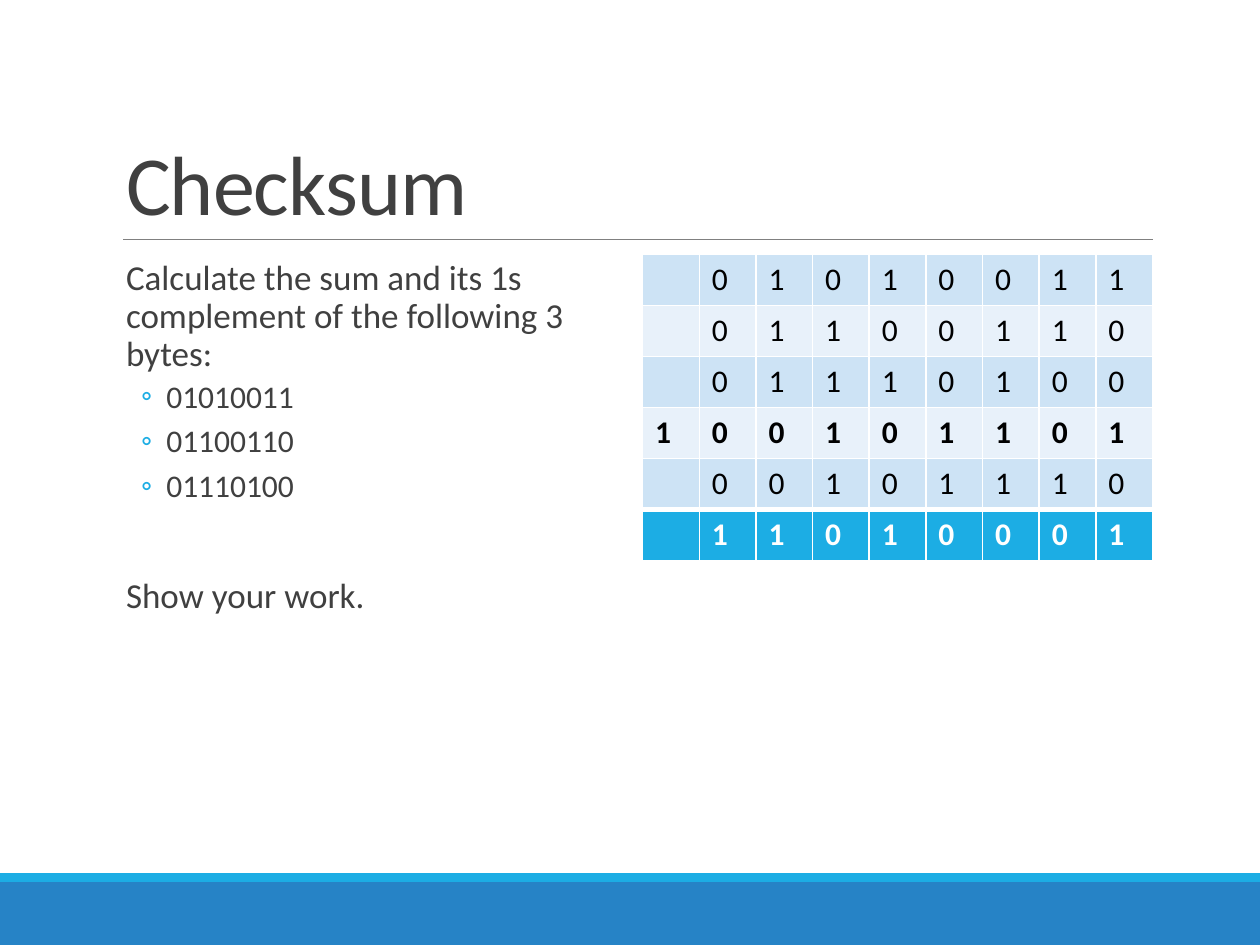
from lxml.etree import SubElement
from pptx import Presentation
from pptx.dml.color import RGBColor
from pptx.enum.shapes import MSO_CONNECTOR, MSO_SHAPE
from pptx.enum.text import MSO_ANCHOR, MSO_AUTO_SIZE, PP_ALIGN
from pptx.oxml.ns import qn
from pptx.util import Inches, Pt

FONT = "Calibri"
BLUE = RGBColor(0x26, 0x83, 0xC6)
CYAN = RGBColor(0x1C, 0xAD, 0xE4)
GRAY = RGBColor(0x80, 0x80, 0x80)
DARK = RGBColor(0x40, 0x40, 0x40)
BLACK = RGBColor(0, 0, 0)
WHITE = RGBColor(0xFF, 0xFF, 0xFF)
BANDS = [RGBColor(0xCD, 0xE3, 0xF5), RGBColor(0xE8, 0xF1, 0xFA)]

BYTES = ["01010011", "01100110", "01110100"]
# Each row starts with the carry column
SUM_ROWS = [" " + b for b in BYTES] + ["100101101", " 00101110", " 11010001"]
CARRY_ROW = 3


def add_run(p, text, size, color, bold=False):
    r = p.add_run()
    r.text = text
    r.font.name, r.font.size, r.font.bold = FONT, Pt(size), bold
    r.font.color.rgb = color
    return r


def add_band(s, x, y, w, h, color):
    sp = s.shapes.add_shape(MSO_SHAPE.RECTANGLE, Inches(x), Inches(y), Inches(w), Inches(h))
    sp.shadow.inherit = False
    sp.fill.solid()
    sp.fill.fore_color.rgb = color
    sp.line.fill.background()


def add_footer(s, x, y, w, h):
    stripe = 0.07
    add_band(s, x, y + stripe, w, h - stripe, BLUE)
    add_band(s, x, y, w, stripe, CYAN)


def add_title(s, x, y, w, h):
    sp = s.shapes.title
    sp.left, sp.top, sp.width, sp.height = Inches(x), Inches(y), Inches(w), Inches(h)
    tf = sp.text_frame
    tf.auto_size = MSO_AUTO_SIZE.NONE
    tf.vertical_anchor = MSO_ANCHOR.BOTTOM
    p = tf.paragraphs[0]
    p.alignment, p.line_spacing = PP_ALIGN.LEFT, 0.85
    r = add_run(p, "Checksum", 48, DARK)
    r.font._element.set("spc", "-50")
    # Rule under the title
    rule = s.shapes.add_connector(MSO_CONNECTOR.STRAIGHT, Inches(x + 0.08), Inches(y + h),
                                  Inches(x + w), Inches(y + h))
    rule.line.color.rgb, rule.line.width = GRAY, Pt(0.5)
    SubElement(rule._element.spPr, qn("a:effectLst"))


def set_indent(p, margin, first=0.0, bullet=None):
    pPr = p._p.get_or_add_pPr()
    pPr.set("marL", str(Inches(margin)))
    pPr.set("indent", str(Inches(first)))
    if bullet:
        clr = SubElement(pPr, qn("a:buClr"))
        SubElement(clr, qn("a:srgbClr"), val=str(CYAN))
        SubElement(pPr, qn("a:buFont"), typeface=FONT)
        SubElement(pPr, qn("a:buChar"), char=bullet)


def add_task(s, x, y, w, h):
    tf = s.shapes.add_textbox(Inches(x), Inches(y), Inches(w), Inches(h)).text_frame
    tf.word_wrap = True
    tf.margin_left = tf.margin_right = 0
    tf.margin_top = tf.margin_bottom = Inches(0.05)
    # Text, is a bullet, space before
    lines = [("Calculate the sum and its 1s complement of the following 3 bytes:", False, 12)]
    lines += [(b, True, 2) for b in BYTES]
    lines += [("Show your work.", False, 38)]
    for i, (text, bulleted, before) in enumerate(lines):
        p = tf.add_paragraph() if i else tf.paragraphs[0]
        p.line_spacing, p.space_before = 0.9, Pt(before)
        p.space_after = Pt(4 if bulleted else 2)
        if bulleted:
            p.level = 1
            set_indent(p, 0.42, -0.2, "\u25e6")
        else:
            set_indent(p, 0.1)
        add_run(p, text, 18 if bulleted else 20, DARK)


def set_borders(cell, top, bottom):
    tcPr = cell._tc.get_or_add_tcPr()
    for side, width in (("L", 1), ("R", 1), ("T", top), ("B", bottom)):
        ln = SubElement(tcPr, qn(f"a:ln{side}"), w=str(Pt(width)))
        fill = SubElement(ln, qn("a:solidFill"))
        SubElement(fill, qn("a:srgbClr"), val=str(WHITE))


def add_sum_table(s, x, y, w, h):
    n_rows, n_cols = len(SUM_ROWS), len(SUM_ROWS[0])
    last = n_rows - 1
    table = s.shapes.add_table(n_rows, n_cols, Inches(x), Inches(y), Inches(w), Inches(h)).table
    for col in table.columns:
        col.width = Inches(w / n_cols)
    for i, bits in enumerate(SUM_ROWS):
        table.rows[i].height = Inches(h / n_rows)
        for j, bit in enumerate(bits):
            cell = table.cell(i, j)
            set_borders(cell, 3 if i == last else 1, 3 if i == last - 1 else 1)
            cell.fill.solid()
            cell.fill.fore_color.rgb = CYAN if i == last else BANDS[i % 2]
            if bit != " ":
                add_run(cell.text_frame.paragraphs[0], bit, 18,
                        WHITE if i == last else BLACK, i in (CARRY_ROW, last))


prs = Presentation()
prs.slide_width, prs.slide_height = Inches(10), Inches(7.5)
s = prs.slides.add_slide(prs.slide_layouts[5])
add_footer(s, 0, 6.93, 10, 0.57)
add_title(s, 0.9, 0.31, 8.25, 1.59)
add_task(s, 0.9, 2.02, 4.05, 4.4)
add_sum_table(s, 5.1, 2.02, 4.05, 2.43)
prs.save("out.pptx")
